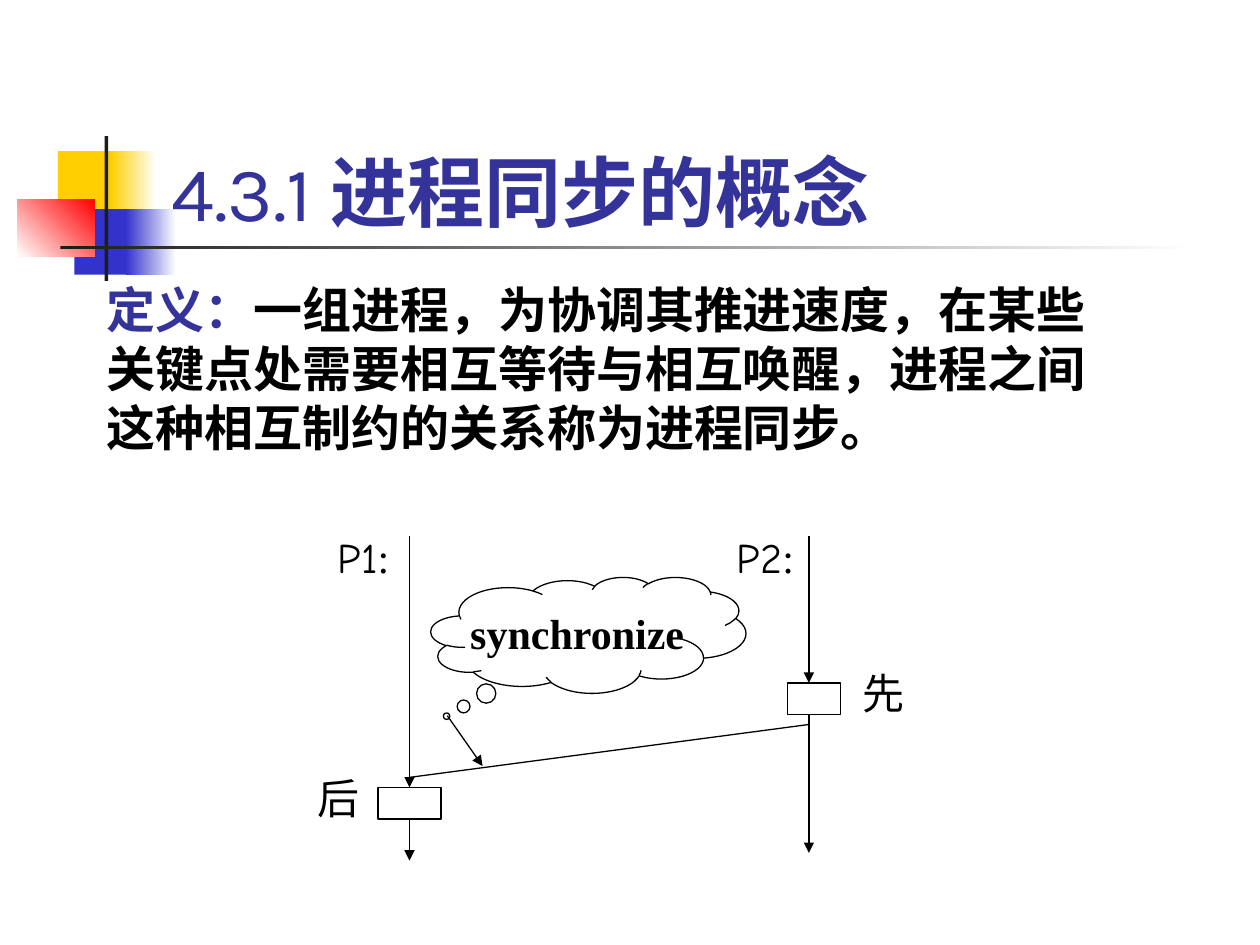
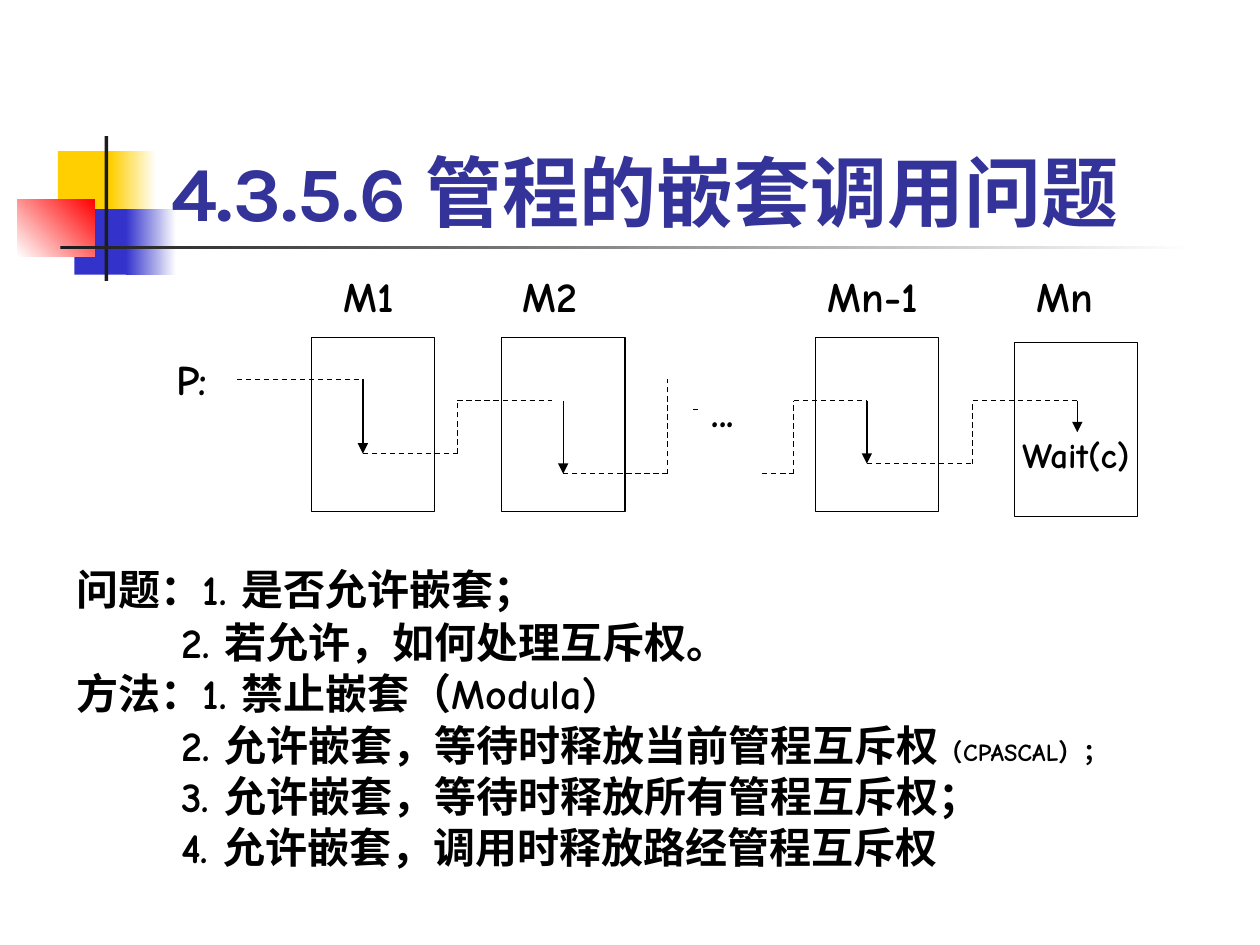
from itertools import pairwise

from lxml import etree
from pptx import Presentation
from pptx import util as u
from pptx.dml.color import RGBColor
from pptx.enum import dml, shapes, text
from pptx.oxml.ns import qn

YELLOW = RGBColor(0xFF, 0xCF, 0x01)
BLUE = RGBColor(0x33, 0x33, 0xCC)
RED = RGBColor(0xFF, 0x00, 0x00)
CHARCOAL = RGBColor(0x1C, 0x1C, 0x1C)
TITLE_BLUE = RGBColor(0x33, 0x33, 0x99)
BLACK = RGBColor(0x00, 0x00, 0x00)
WHITE = RGBColor(0xFF, 0xFF, 0xFF)

TITLE_FONT = "Karla"
LABEL_FONT = "Comic Neue"
SERIF_FONT = "Times New Roman"

LINE_WIDTH = u.Pt(0.75)
LABEL_HEIGHT = 0.5


def inches(*lengths):
    return [u.Inches(length) for length in lengths]


# ---- Shared drawing helpers ----

def add_shape(page, box, fill=None, outlined=False,
              kind=shapes.MSO_SHAPE.RECTANGLE):
    shape = page.shapes.add_shape(kind, *inches(*box))
    shape.shadow.inherit = False
    if fill is None:
        shape.fill.background()
    else:
        shape.fill.solid()
        shape.fill.fore_color.rgb = fill
    if outlined:
        shape.line.color.rgb = BLACK
        shape.line.width = LINE_WIDTH
    else:
        shape.line.fill.background()
    return shape


def add_gradient(page, box, start, end, angle=0):
    shape = add_shape(page, box, start)
    shape.fill.gradient()
    shape.fill.gradient_angle = angle
    for stop, color in zip(shape.fill.gradient_stops, (start, end)):
        stop.color.rgb = color


def add_line(page, start, end, arrow=False, dashed=False):
    line = page.shapes.add_connector(
        shapes.MSO_CONNECTOR.STRAIGHT, *inches(*start, *end))
    line.line.color.rgb = BLACK
    line.line.width = LINE_WIDTH
    if dashed:
        line.line.dash_style = dml.MSO_LINE.DASH
    if arrow:
        etree.SubElement(line.line._get_or_add_ln(), qn("a:tailEnd"),
                         type="triangle")
    etree.SubElement(line._element.spPr, qn("a:effectLst"))
    return line


def style(font, size, name, color=BLACK, bold=False):
    font.size = u.Pt(size)
    font.name = name
    font.color.rgb = color
    font.bold = bold


def add_span(para, words):
    span = para.add_run()
    span.text = words
    return span


def add_text(page, box, words="", size=24, name=LABEL_FONT, color=BLACK,
             bold=False, fill=None):
    """Add a wrapping text box and return its first paragraph."""
    holder = page.shapes.add_textbox(*inches(*box))
    if fill is not None:
        holder.fill.solid()
        holder.fill.fore_color.rgb = fill
    holder.text_frame.word_wrap = True
    para = holder.text_frame.paragraphs[0]
    if words:
        add_span(para, words)
    style(para.font, size, name, color, bold)
    return para


def add_center_text(shape, words, size, name):
    frame = shape.text_frame
    frame.word_wrap = False
    frame.vertical_anchor = text.MSO_ANCHOR.MIDDLE
    para = frame.paragraphs[0]
    para.alignment = text.PP_ALIGN.CENTER
    add_span(para, words)
    style(para.font, size, name, bold=True)


# ---- Parts on every slide ----

def draw_ornament(page, left, top):
    add_shape(page, (left + 0.32, top + 0.12, 0.48, 0.52), YELLOW)
    add_gradient(page, (left + 0.74, top + 0.12, 0.36, 0.52), YELLOW, WHITE)
    add_shape(page, (left + 0.45, top + 0.58, 0.46, 0.52), BLUE)
    add_gradient(page, (left + 0.86, top + 0.58, 0.4, 0.52), BLUE, WHITE)
    add_gradient(page, (left, top + 0.5, 0.61, 0.46), WHITE, RED, angle=45)
    add_shape(page, (left + 0.69, top, 0.03, 1.15), CHARCOAL)
    add_gradient(page, (left + 0.34, top + 0.87, 9, 0.03), CHARCOAL, WHITE)


def new_page(deck, *title_spans):
    page = deck.slides.add_slide(deck.slide_layouts[6])
    draw_ornament(page, 0.14, 1.08)
    title = page.shapes.add_textbox(*inches(1.26, 0.68, 8.52, 1.25))
    title.text_frame.word_wrap = True
    title.text_frame.vertical_anchor = text.MSO_ANCHOR.BOTTOM
    para = title.text_frame.paragraphs[0]
    style(para.font, 44, TITLE_FONT, TITLE_BLUE)
    for words, bold in title_spans:
        add_span(para, words).font.bold = bold
    return page


# ---- Slide 1: process synchronisation ----

def draw_definition(page, left, top):
    para = add_text(page, (left, top, 8.25, 1.5), size=28, name=SERIF_FONT,
                    bold=True)
    add_span(para, "定义：").font.color.rgb = TITLE_BLUE
    add_span(para, "一组进程，为协调其推进速度，在某些关键点处需要相互等待"
                   "与相互唤醒，进程之间这种相互制约的关系称为进程同步。")


def draw_process(page, x, top, name, step_box, end, order, order_x):
    """Draw one process lane; step_box is offset from the lane's top."""
    step_left, step_top, width, height = step_box
    label = add_text(page, (x - 0.67, top, 0.75, LABEL_HEIGHT), name)
    add_span(label, ":").font.name = SERIF_FONT
    step = add_shape(page, (x + step_left, top + step_top, width, height),
                     WHITE, outlined=True)
    before = add_line(page, (x, top + 0.08), (x, top + step_top), arrow=True)
    after = add_line(page, (x, top + step_top + height), (x, top + end),
                     arrow=True)
    if step_left == -width / 2:
        before.end_connect(step, 0)
        after.begin_connect(step, 2)
    add_text(page, (x + order_x, top + step_top - 0.17, 0.58, LABEL_HEIGHT),
             order, name=SERIF_FONT)


def draw_synchronization(page, left, top):
    first, second = left + 0.83, left + 4
    draw_process(page, first, top, "P1", (-0.25, 2.08, 0.5, 0.25), 2.66,
                 "后", -0.83)
    draw_process(page, second, top, "P2", (-0.17, 1.25, 0.42, 0.25), 2.6,
                 "先", 0.33)
    add_line(page, (first, top + 2), (second, top + 1.58))
    # Thought cloud pointing at the line between the processes
    cloud = add_shape(page, (left + 1, top + 0.41, 2.5, 0.92), outlined=True,
                      kind=shapes.MSO_SHAPE.CLOUD_CALLOUT)
    cloud.adjustments[0] = -0.45
    cloud.adjustments[1] = 0.7
    add_center_text(cloud, "synchronize", 24, SERIF_FONT)
    add_line(page, (left + 1.13, top + 1.51), (left + 1.41, top + 1.91),
             arrow=True)


# ---- Slide 2: nested monitor calls ----

MONITORS = [  # name, box left, box top, label left, label width
    ("M1", 1.17, 0.58, 1.33, 0.71),
    ("M2", 2.68, 0.58, 2.75, 0.75),
    ("Mn-1", 5.17, 0.58, 5.17, 1.08),
    ("Mn", 6.75, 0.62, 6.83, 0.83),
]
CALL_ROUTES = [
    [(0.58, 0.91), (1.58, 0.91), (1.58, 1.5), (2.33, 1.5), (2.33, 1.08),
     (3.08, 1.08)],
    [(3.17, 1.08), (3.17, 1.66), (4, 1.66), (4, 0.91)],
    [(4.2, 1.15), (4.53, 1.15)],
    [(4.75, 1.66), (5, 1.66), (5, 1.08), (5.58, 1.08), (5.58, 1.58),
     (6.42, 1.58), (6.42, 1.08), (7.25, 1.08), (7.25, 1.33)],
]


def draw_nested_calls(page, left, top):
    for name, box_left, box_top, label_left, label_width in MONITORS:
        monitor = add_shape(page, (left + box_left, top + box_top, 0.98, 1.38),
                            WHITE, outlined=True)
        add_text(page, (left + label_left, top, label_width, LABEL_HEIGHT),
                 name, bold=True, fill=WHITE)
    # The last monitor waits, below the arrow that enters it
    monitor.text_frame.margin_top = u.Inches(0.45)
    add_center_text(monitor, "Wait(c)", 20, LABEL_FONT)
    # Steps down are execution inside a monitor, all others are calls
    for route in CALL_ROUTES:
        points = [(left + x, top + y) for x, y in route]
        for start, end in pairwise(points):
            runs = end[1] > start[1]
            add_line(page, start, end, arrow=runs, dashed=not runs)
    for words, x, y, width in (("P:", 0, 0.66, 0.5), ("...", 4.25, 0.91, 0.58)):
        add_text(page, (left + x, top + y, width, LABEL_HEIGHT), words,
                 bold=True, fill=WHITE)


QUESTIONS = [  # text, whether it is indented, small ending
    ("问题：1. 是否允许嵌套；", False, ""),
    ("2. 若允许，如何处理互斥权。", True, ""),
    ("方法：1. 禁止嵌套（Modula)", False, ""),
    ("2. 允许嵌套，等待时释放当前管程互斥权", True, "（CPASCAL）；"),
    ("3. 允许嵌套，等待时释放所有管程互斥权；", True, ""),
    ("4. 允许嵌套，调用时释放路经管程互斥权", True, ""),
]


def draw_questions(page, left, top):
    holder = page.shapes.add_textbox(*inches(left, top, 8.99, 2.7))
    frame = holder.text_frame
    frame.word_wrap = True
    for index, (words, indented, ending) in enumerate(QUESTIONS):
        para = frame.add_paragraph() if index else frame.paragraphs[0]
        if index:
            para.line_spacing = 0.6
            para.space_before = u.Pt(12)
        if indented:
            para._p.get_or_add_pPr().set("marL", str(u.Inches(0.83)))
        style(para.font, 24, LABEL_FONT, bold=True)
        add_span(para, words)
        if ending:
            add_span(para, ending).font.size = u.Pt(14)


def main():
    deck = Presentation()
    deck.slide_width, deck.slide_height = inches(10, 7.5)

    page = new_page(deck, ("4.3.1 ", False), ("进程同步的概念", True))
    draw_definition(page, 0.75, 2.17)
    draw_synchronization(page, 2.42, 4.17)

    page = new_page(deck, ("4.3.5.6 管程的嵌套调用问题", True))
    draw_nested_calls(page, 1.3, 2.1)
    draw_questions(page, 0.51, 4.42)

    deck.save("out.pptx")


if __name__ == "__main__":
    main()
